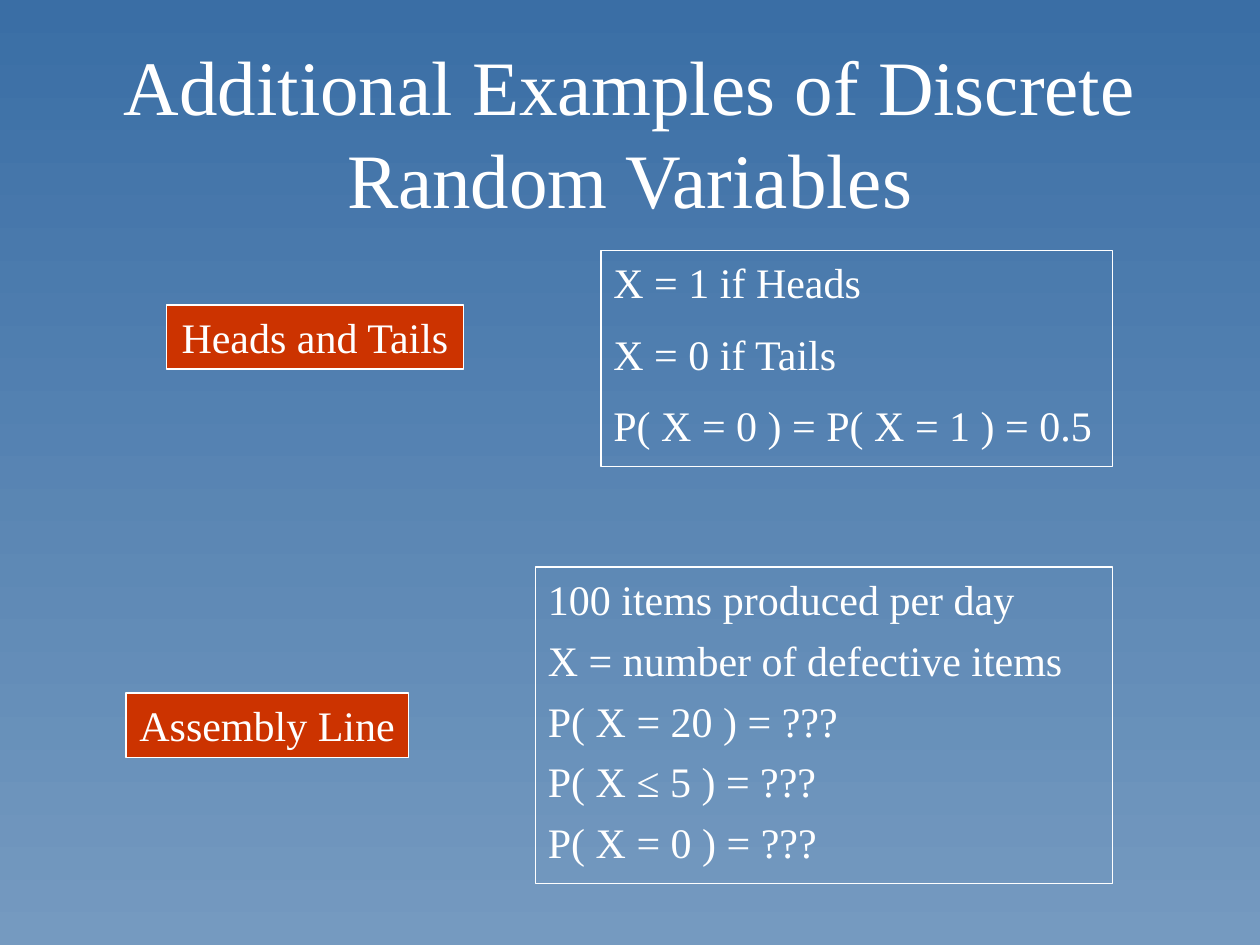
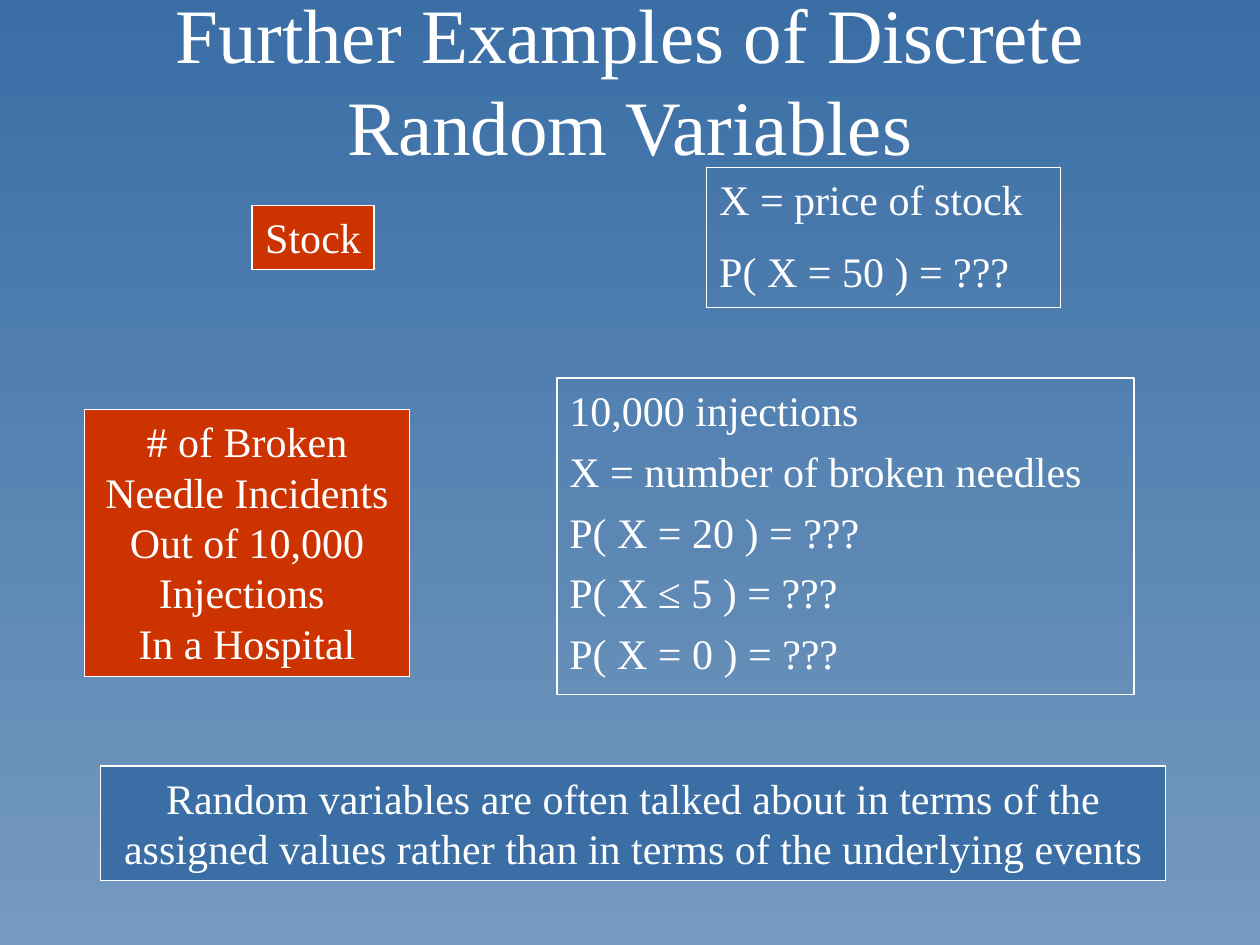
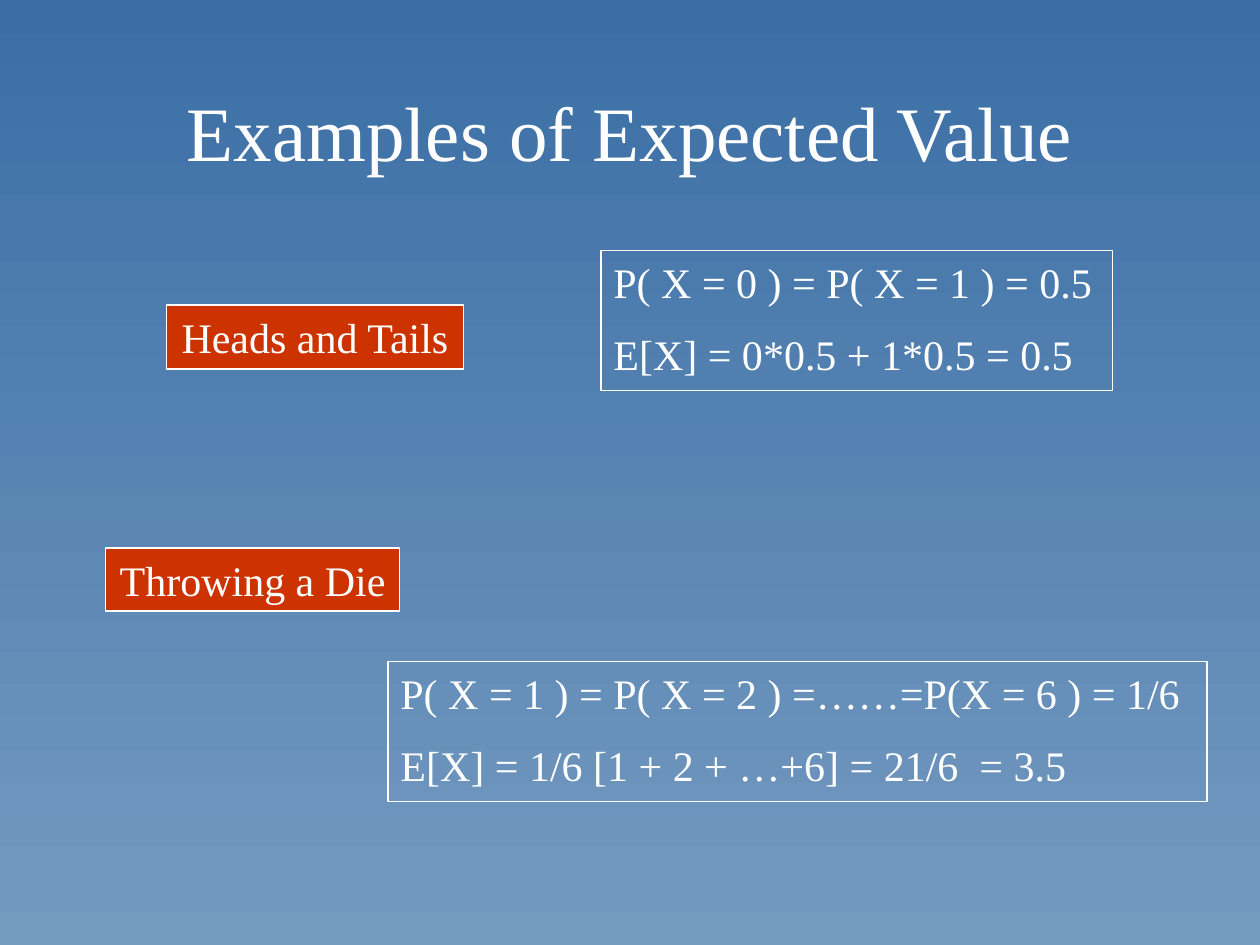
"""Build three slides on discrete random variables and expected value."""
from pptx import Presentation
from pptx.dml.color import RGBColor
from pptx.enum.shapes import MSO_SHAPE
from pptx.enum.text import MSO_ANCHOR, MSO_AUTO_SIZE, PP_ALIGN
from pptx.util import Pt

SCALE = 9144
FONT = "Times New Roman"
WHITE, RED, BLUE, PALE = "FFFFFF", "CC3300", "3A6EA5", "759AC0"


def px(*sizes):
    return [size * SCALE for size in sizes]


def color(code):
    return RGBColor.from_string(code)


class Deck:
    def __init__(self):
        self.show = Presentation()
        self.show.slide_width, self.show.slide_height = px(1000, 750)
        self.slide = None

    def page(self, title, top=50, height=108):
        self.slide = self.show.slides.add_slide(self.show.slide_layouts[6])
        fill = self.slide.background.fill
        fill.gradient()
        fill.gradient_angle = 270
        for stop, code in zip(fill.gradient_stops, (BLUE, PALE)):
            stop.color.rgb = color(code)
        box = self.slide.shapes.add_textbox(*px(75, top, 850, height))
        self.words(box, title, 44, PP_ALIGN.CENTER, anchor=MSO_ANCHOR.MIDDLE)

    def words(self, shape, text, size, align, gap=0, wrap=True, anchor=MSO_ANCHOR.TOP):
        frame = shape.text_frame
        frame.text = text
        frame.word_wrap = wrap
        frame.vertical_anchor = anchor
        for i, para in enumerate(frame.paragraphs):
            para.alignment = align
            para.space_before = Pt(gap if i else 0)
            for run in para.runs:
                run.font.name = FONT
                run.font.size = Pt(size)
                run.font.color.rgb = color(WHITE)

    def box(self, place, text, fill=None, **style):
        shape = self.slide.shapes.add_shape(MSO_SHAPE.RECTANGLE, *px(*place))
        shape.shadow.inherit = False
        if fill:
            shape.fill.solid()
            shape.fill.fore_color.rgb = color(fill)
        else:
            shape.fill.background()
        shape.line.color.rgb = color(WHITE)
        shape.line.width = Pt(0.75)
        self.words(shape, text, 24, **style)
        shape.text_frame.auto_size = MSO_AUTO_SIZE.SHAPE_TO_FIT_TEXT

    def label(self, place, text, fill=RED, wrap=False):
        self.box(place, text, fill, align=PP_ALIGN.CENTER, wrap=wrap)

    def facts(self, place, *lines, gap=12):
        self.box(place, "\n".join(lines), align=PP_ALIGN.LEFT, gap=gap)

    def counts(self, left, top, total, name):
        self.facts((left, top, 458, 251), total, f"X = number of {name}",
                   "P( X = 20 ) = ???", "P( X ≤ 5 ) = ???", "P( X = 0 ) = ???",
                   gap=6)

    def coin(self, height, *lines):
        self.label((132, 242, 236, 51), "Heads and Tails")
        self.facts((477, 199, 406, height), *lines)


def main():
    deck = Deck()
    odds = "P( X = 0 ) = P( X = 1 ) = 0.5"

    deck.page("Additional Examples of Discrete Random Variables")
    deck.coin(171, "X = 1 if Heads", "X = 0 if Tails", odds)
    deck.label((100, 550, 224, 51), "Assembly Line")
    deck.counts(425, 450, "100 items produced per day", "defective items")

    deck.page("Further Examples of Discrete Random Variables", 25, 75)
    deck.label((200, 163, 97, 51), "Stock")
    deck.facts((561, 133, 281, 111), "X = price of stock", "P( X = 50 ) = ???")
    deck.label((67, 325, 258, 212), "# of Broken Needle Incidents\n"
               "Out of 10,000 Injections \nIn a Hospital", wrap=True)
    deck.counts(442, 300, "10,000 injections", "broken needles")
    deck.label((80, 608, 845, 91), "Random variables are often talked about in terms of the "
               "assigned values rather than in terms of the underlying events",
               BLUE, wrap=True)

    deck.page("Examples of Expected Value")
    deck.coin(111, odds, "E[X] = 0*0.5 + 1*0.5 = 0.5")
    deck.label((84, 435, 233, 50), "Throwing a Die")
    deck.facts((308, 525, 650, 111), "P( X = 1 ) = P( X = 2 ) =……=P(X = 6 ) = 1/6",
               "E[X] = 1/6 [1 + 2 + …+6] = 21/6  = 3.5")

    deck.show.save("out.pptx")


if __name__ == "__main__":
    main()
